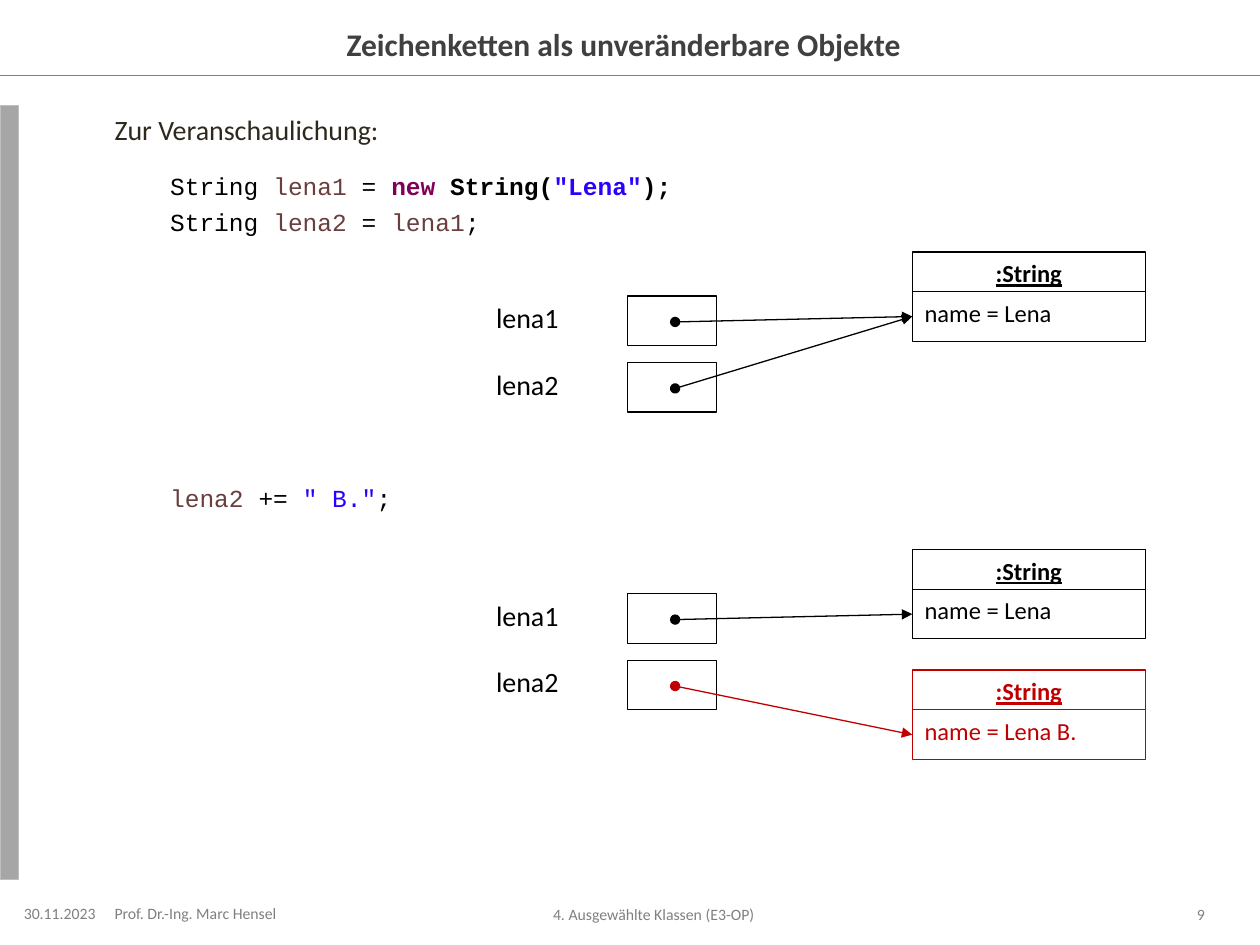
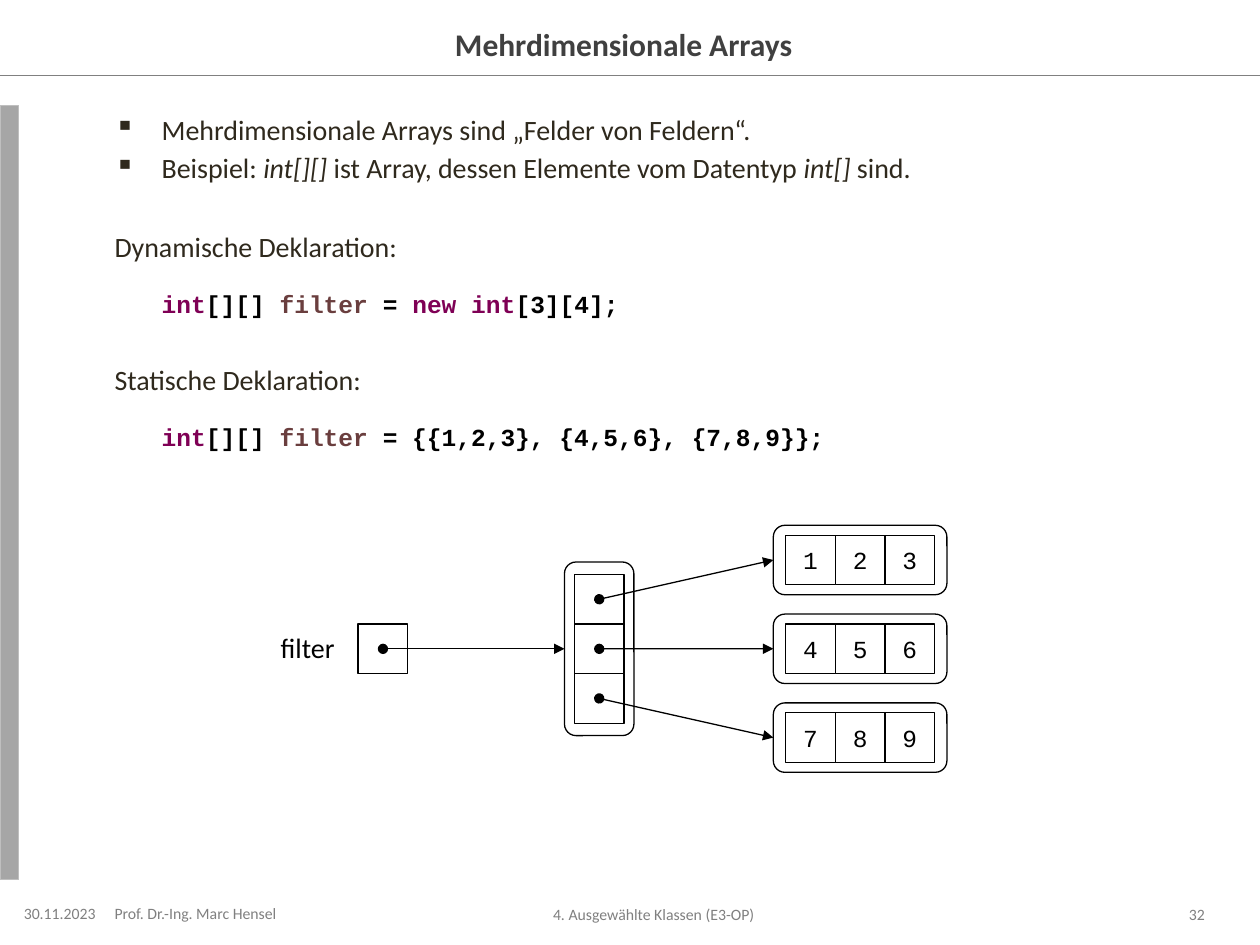
from lxml import etree
from pptx import Presentation
from pptx.dml.color import RGBColor
from pptx.enum import shapes as es, text as et
from pptx.oxml.ns import qn
from pptx.util import Cm, Pt

# Shared style
SANS, MONO = "Calibri", "Courier New"
BLACK, WHITE, RED = "000000", "FFFFFF", "C00000"
INK, TITLE, GREY = "2F291D", "404040", "808080"
BAR, EDGE = "A6A6A6", "BFBFBF"
KEY, VAR, LIT = "7F0055", "6A3E3E", "2A00FF"
LEFT, MID, RIGHT = et.PP_ALIGN.LEFT, et.PP_ALIGN.CENTER, et.PP_ALIGN.RIGHT
RECT, ROUND = es.MSO_SHAPE.RECTANGLE, es.MSO_SHAPE.ROUNDED_RECTANGLE
PAD = (0, 0.13, 0.25, 0.13)

# Footer fields: text, place, alignment, insets
FOOT = [
    ("4. Ausgewählte Klassen (E3-OP)", (6.3, 18.24, 14, 0.38), MID, PAD),
    ("30.11.2023", (0.38, 18.21, 1.9, 0.41), MID, PAD),
    ("Prof. Dr.-Ing. Marc Hensel", (2.31, 18.21, 3.81, 0.38), LEFT, PAD),
]
PAGE = (22.66, 18.24, 1.63, 0.38)

# Body paragraphs: runs are text or (text, format), then paragraph format
code = dict(font=MONO, size=14, color=BLACK)
key, var, lit = dict(color=KEY), dict(color=VAR), dict(color=LIT)
bold, slant = dict(bold=True), dict(italic=True)

STRINGS = [
    (["Zur Veranschaulichung:"], {}),
    (["String ", ("lena1", var), " = ", ("new", {**key, **bold}),
      (" String(", bold), ('"Lena"', {**lit, **bold}), (");", bold)],
     dict(code, before=14.7, indent=1.12)),
    (["String ", ("lena2", var), " = ", ("lena1", var), ";"],
     dict(code, before=3.5, indent=1.12)),
    ([("lena2", var), " += ", ('" B."', lit), ";"],
     dict(code, before=140.7, indent=1.12)),
]

decl = [("int", key), "[][] ", ("filter", var), " = "]
line = dict(code, bold=True, before=14.7, indent=0.95)
ARRAYS = [
    (["Mehrdimensionale Arrays sind „Felder von Feldern“."],
     dict(bullet="▪", indent=0.95)),
    (["Beispiel: ", ("int[][]", slant),
      " ist Array, dessen Elemente vom Datentyp ", ("int[]", slant), " sind."],
     dict(bullet="▪", indent=0.95, before=3)),
    (["Dynamische Deklaration:"], dict(before=25.6)),
    (decl + [("new int", key), "[3][4];"], line),
    (["Statische Deklaration:"], dict(before=25.3)),
    (decl + ["{{1,2,3}, {4,5,6}, {7,8,9}};"], line),
]

# Memory panels: top, objects (value, colour), references (name, object index)
PANELS = [
    (5.08, [("Lena", BLACK)], [("lena1", 0), ("lena2", 0)]),
    (11.08, [("Lena", BLACK), ("Lena B.", RED)], [("lena1", 0), ("lena2", 1)]),
]
ROWS = ["123", "456", "789"]


def rgb(code):
    return RGBColor.from_string(code)


def write(shape, paras, font=SANS, size=16, color=BLACK, bold=False,
          italic=False, underline=False, align=LEFT, indent=0, before=0,
          bullet=None, anchor="TOP", pad=None):
    """Fill a shape with text; paras is a string or a list of (runs, format)."""
    frame = shape.text_frame
    frame.word_wrap = True
    frame.vertical_anchor = getattr(et.MSO_ANCHOR, anchor)
    if pad:
        (frame.margin_left, frame.margin_top,
         frame.margin_right, frame.margin_bottom) = map(Cm, pad)
    base = dict(font=font, size=size, color=color, bold=bold, italic=italic,
                underline=underline, align=align, indent=indent,
                before=before, bullet=bullet)
    if isinstance(paras, str):
        paras = [([paras], {})]
    for i, (runs, extra) in enumerate(paras):
        fmt = {**base, **extra}
        par = frame.paragraphs[0] if i == 0 else frame.add_paragraph()
        par.alignment, par.space_before = fmt["align"], Pt(fmt["before"])
        props = par._p.get_or_add_pPr()
        props.set("marL", str(Cm(fmt["indent"])))
        if fmt["bullet"]:
            props.set("indent", str(-Cm(fmt["indent"])))
            etree.SubElement(props, qn("a:buChar"), char=fmt["bullet"])
        for item in runs:
            words, own = (item, {}) if isinstance(item, str) else item
            look = {**fmt, **own}
            run = par.add_run()
            run.text = words
            run.font.name, run.font.size = look["font"], Pt(look["size"])
            run.font.color.rgb = rgb(look["color"])
            run.font.bold, run.font.italic = look["bold"], look["italic"]
            run.font.underline = look["underline"]


def label(slide, place, paras, **fmt):
    write(slide.shapes.add_textbox(*map(Cm, place)), paras, **fmt)


def box(slide, place, kind=RECT, fill=WHITE, edge=BLACK):
    shape = slide.shapes.add_shape(kind, *map(Cm, place))
    shape.shadow.inherit = False
    if fill:
        shape.fill.solid()
        shape.fill.fore_color.rgb = rgb(fill)
    else:
        shape.fill.background()
    shape.line.color.rgb, shape.line.width = rgb(edge), Pt(0.75)
    return shape


def rule(slide, ends, color):
    link = slide.shapes.add_connector(es.MSO_CONNECTOR.STRAIGHT, *map(Cm, ends))
    link.line.color.rgb, link.line.width = rgb(color), Pt(0.75)
    etree.SubElement(link._element.spPr, qn("a:effectLst"))
    return link


def arrow(slide, x, y, goal, color=BLACK):
    """Point from a dot at x, y to the left side of the goal."""
    link = rule(slide, (x, y, x, y), color)
    link.end_connect(goal, 1)
    stroke = link.line._get_or_add_ln()
    etree.SubElement(stroke, qn("a:headEnd"), type="oval")
    etree.SubElement(stroke, qn("a:tailEnd"), type="triangle")


def start(deck, title, number, body):
    """Add a slide with title, bands, footer and body text."""
    slide = deck.slides.add_slide(deck.slide_layouts[5])
    rule(slide, (0, 1.52, 25.4, 1.52), GREY)
    box(slide, (0, 2.13, 0.38, 15.6), fill=BAR, edge=EDGE)
    head = slide.shapes.title
    head.left, head.top, head.width, head.height = map(Cm, (3.15, 0.38, 19.1, 1))
    write(head, title, size=18, color=TITLE, bold=True, align=MID,
          anchor="MIDDLE", pad=PAD)
    page = (str(number), PAGE, RIGHT, (0.25, 0.13, 0, 0.13))
    for words, place, align, pad in FOOT + [page]:
        label(slide, place, words, size=9, color=GREY, align=align,
              anchor="MIDDLE", pad=pad)
    label(slide, (2.31, 2.13, 22, 15.6), body, color=INK, pad=PAD)
    return slide


def panel(slide, top, objects, refs):
    """Draw named references on the left and the objects they point to."""
    goals = []
    for i, (value, color) in enumerate(objects):
        y = top + 2.43 * i
        name = box(slide, (18.39, y, 4.7, 0.8), edge=color)
        write(name, ":String", size=14, color=color, bold=True,
              underline=True, align=MID)
        data = box(slide, (18.39, y + 0.8, 4.7, 1), edge=color)
        write(data, f"name = {value}", size=14, color=color)
        goals.append((data, color))
    for i, (name, goal) in enumerate(refs):
        y = top + 0.89 + 1.34 * i
        label(slide, (9.75, y - 0.07, 2.5, 1), name, anchor="MIDDLE")
        box(slide, (12.65, y, 1.8, 1))
        arrow(slide, 13.61, y + 0.52, *goals[goal])


def array(slide, x, y, cells, down=False):
    """Draw a rounded frame with three unit cells, across or down."""
    size = (1.4, 3.5) if down else (3.5, 1.4)
    frame = box(slide, (x, y, *size), ROUND, fill=None)
    for i, value in enumerate(cells):
        dx, dy = (0.2, 0.25 + i) if down else (0.25 + i, 0.2)
        cell = box(slide, (x + dx, y + dy, 1, 1))
        if value:
            write(cell, value, font=MONO, size=14, align=MID, anchor="MIDDLE")
    return frame


def main():
    deck = Presentation()
    deck.slide_width, deck.slide_height = Cm(25.4), Cm(19.05)

    # Strings
    slide = start(deck, "Zeichenketten als unveränderbare Objekte", 9, STRINGS)
    for part in PANELS:
        panel(slide, *part)

    # Arrays, all centred on one axis
    slide = start(deck, "Mehrdimensionale Arrays", 32, ARRAYS)
    axis = 13.08
    label(slide, (5.41, axis - 0.53, 1.8, 1), "filter", anchor="MIDDLE")
    box(slide, (7.22, axis - 0.5, 1, 1))
    outer = array(slide, 11.38, axis - 1.75, [""] * 3, down=True)
    arrow(slide, 7.72, axis, outer)
    for i, row in enumerate(ROWS):
        inner = array(slide, 15.59, axis - 0.7 + 1.79 * (i - 1), row)
        arrow(slide, 12.08, axis + i - 1, inner)

    deck.save("out.pptx")


if __name__ == "__main__":
    main()
